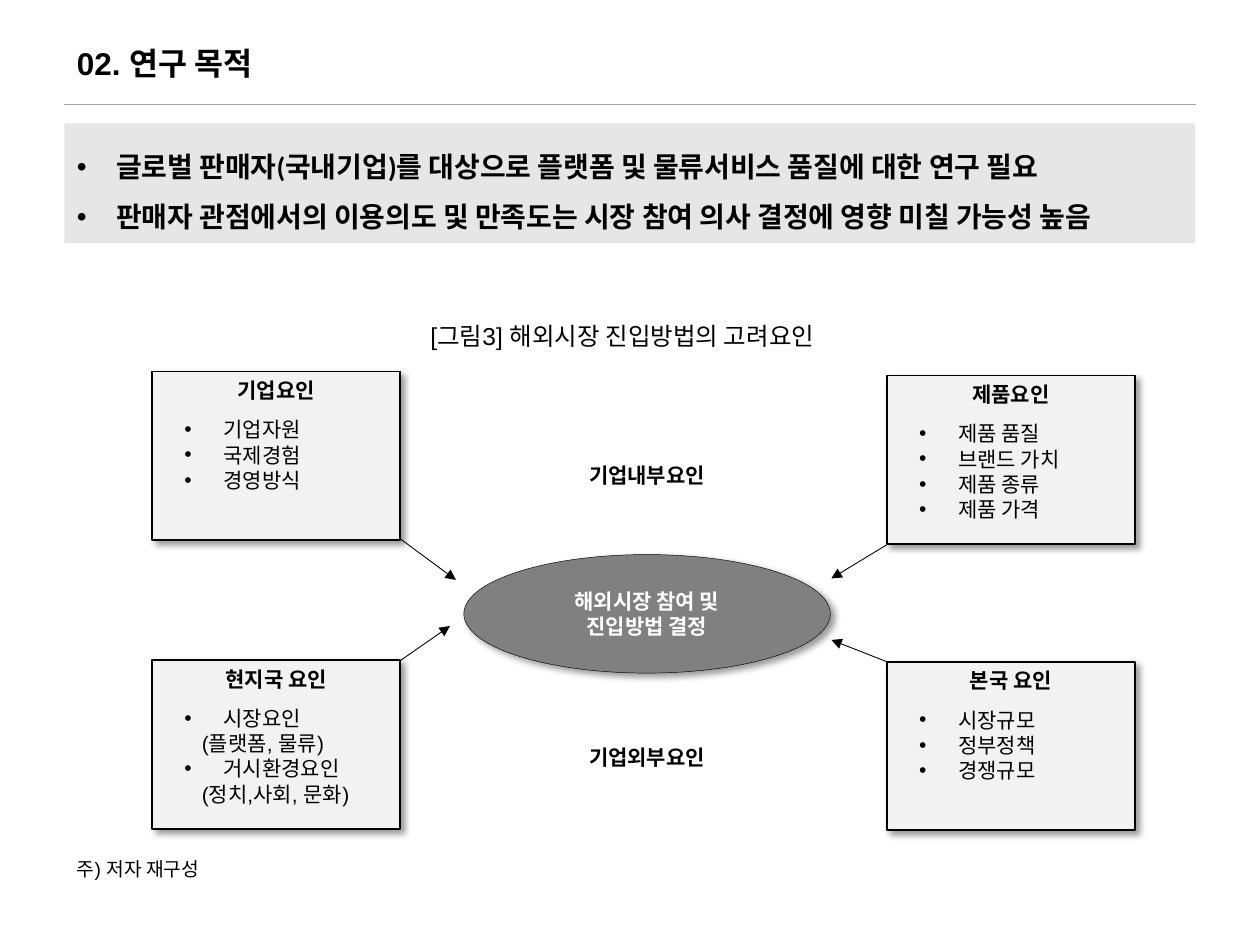
from lxml.etree import SubElement as Sub
from pptx import Presentation
from pptx.dml.color import RGBColor
from pptx.enum.shapes import MSO_CONNECTOR as Link, MSO_SHAPE as Form
from pptx.enum.text import MSO_ANCHOR as Anchor, MSO_AUTO_SIZE as Fit, PP_ALIGN as Align
from pptx.oxml.ns import qn
from pptx.util import Cm, Pt

BLACK = RGBColor(0x00, 0x00, 0x00)
WHITE = RGBColor(0xFF, 0xFF, 0xFF)
RULE = RGBColor(0xA6, 0xA6, 0xA6)
BAND = RGBColor(0xE7, 0xE6, 0xE6)
PALE = RGBColor(0xF2, 0xF2, 0xF2)
GREY = RGBColor(0x80, 0x80, 0x80)


def write(frame, lines, size=12, bold=False, color=BLACK, font="Arial",
          align=Align.LEFT, gap=None):
    """Fill a frame with one paragraph per line, and return them."""
    paras = []
    for i, line in enumerate(lines):
        para = frame.add_paragraph() if i else frame.paragraphs[0]
        para.alignment = align
        if gap:
            para.line_spacing = gap
        run = para.add_run()
        run.text = line
        run.font.size, run.font.bold, run.font.name = Pt(size), bold, font
        run.font.color.rgb = color
        paras.append(para)
    return paras


def bullet(para):
    props = para._p.get_or_add_pPr()
    props.set("marL", str(Cm(0.79)))
    props.set("indent", str(-Cm(0.79)))
    Sub(props, qn("a:buFont"), typeface="Arial")
    Sub(props, qn("a:buChar"), char="•")


def label(slide, box, lines, wrap=True, **style):
    frame = slide.shapes.add_textbox(*map(Cm, box)).text_frame
    frame.word_wrap = wrap
    frame.auto_size = Fit.SHAPE_TO_FIT_TEXT
    return frame, write(frame, lines, **style)


def block(slide, form, box, fill, line=None, anchor=Anchor.MIDDLE):
    """Add a filled shape; an outlined one also casts a shadow."""
    shape = slide.shapes.add_shape(form, *map(Cm, box))
    shape.fill.solid()
    shape.fill.fore_color.rgb = fill
    shape.shadow.inherit = False
    shape.text_frame.vertical_anchor = anchor
    shape.text_frame.word_wrap = True
    if line is None:
        shape.line.fill.background()
        return shape.text_frame
    shape.line.color.rgb = BLACK
    shape.line.width = Pt(line)
    effect = shape._element.spPr.find(qn("a:effectLst"))
    cast = Sub(effect, qn("a:outerShdw"), blurRad=str(Pt(4)), dist=str(Pt(3)),
               dir="2700000", algn="tl", rotWithShape="0")
    tone = Sub(cast, qn("a:srgbClr"), val=str(BLACK))
    Sub(tone, qn("a:alpha"), val="40000")
    return shape.text_frame


def stroke(slide, ends, color=BLACK, head=False):
    line = slide.shapes.add_connector(Link.STRAIGHT, *map(Cm, ends))
    line.line.color.rgb = color
    line.line.width = Pt(0.5)
    if head:
        Sub(line.line._get_or_add_ln(), qn("a:tailEnd"), type="triangle")
    Sub(line._element.spPr, qn("a:effectLst"))


def header(slide, x, y, w):
    label(slide, (x, y, 17.7, 1.02), ["02. 연구 목적"], size=18, bold=True)
    stroke(slide, (x, y + 1.35, x + w, y + 1.35), RULE)


def summary(slide, box):
    frame = block(slide, Form.RECTANGLE, box, BAND)
    lines = ["글로벌 판매자(국내기업)를 대상으로 플랫폼 및 물류서비스 품질에 대한 연구 필요",
             "판매자 관점에서의 이용의도 및 만족도는 시장 참여 의사 결정에 영향 미칠 가능성 높음"]
    for para in write(frame, lines, size=16, bold=True, font="Calibri", gap=1.5):
        bullet(para)


def factor(slide, x, y, title, items):
    """Titled card with a list; items in brackets continue the one above."""
    frame = block(slide, Form.RECTANGLE, (x, y, 5, 3.4), PALE, 1, Anchor.TOP)
    write(frame, [title], bold=True, align=Align.CENTER)
    high = 0.26 + 0.51 * len(items)
    frame, paras = label(slide, (x + 0.4, y + 0.79, 4.2, high), items)
    frame.margin_right = 0
    for para, item in zip(paras, items):
        if item.startswith("("):
            para._p.get_or_add_pPr().set("marL", str(Cm(0.35)))
        else:
            bullet(para)


def diagram(slide, x, y):
    """Four factors around one decision."""
    label(slide, (x + 2.09, y - 1.14, 14.78, 0.86),
          ["[그림3] 해외시장 진입방법의 고려요인"], size=14, align=Align.CENTER)
    right = x + 14.81
    factor(slide, x, y, "기업요인", ["기업자원", "국제경험", "경영방식"])
    factor(slide, right, y + 0.08, "제품요인",
           ["제품 품질", "브랜드 가치", "제품 종류", "제품 가격"])
    factor(slide, x, y + 5.82, "현지국 요인",
           ["시장요인", "(플랫폼, 물류)", "거시환경요인", "(정치,사회, 문화)"])
    factor(slide, right, y + 5.85, "본국 요인", ["시장규모", "정부정책", "경쟁규모"])

    # Decision in the middle, with its inner and outer factors
    frame = block(slide, Form.OVAL, (x + 6.28, y + 3.69, 7.39, 2.39), GREY, 0.25)
    write(frame, ["해외시장 참여 및", "진입방법 결정"], bold=True, color=WHITE,
          align=Align.CENTER)
    for down, text in ((1.7, "기업내부요인"), (7.39, "기업외부요인")):
        label(slide, (x + 8.44, y + down, 3.07, 0.76), [text], wrap=False,
              bold=True, align=Align.CENTER)

    # Arrows from card corners to the decision
    for x1, y1, x2, y2 in ((5.01, 3.38, 6.12, 4.2), (14.86, 3.46, 13.69, 4.17),
                           (5.01, 5.82, 6, 5.13), (14.81, 5.85, 13.69, 5.41)):
        stroke(slide, (x + x1, y + y1, x + x2, y + y2), head=True)


def main():
    deck = Presentation()
    deck.slide_width, deck.slide_height = Cm(25.4), Cm(19.05)
    slide = deck.slides.add_slide(deck.slide_layouts[6])
    header(slide, 1.3, 0.76, 22.8)
    summary(slide, (1.3, 2.49, 22.8, 2.41))
    diagram(slide, 3.07, 7.49)
    # Source note
    label(slide, (1.3, 17.15, 11.4, 0.74), ["주) 저자 재구성"], size=11)
    deck.save("out.pptx")


if __name__ == "__main__":
    main()
